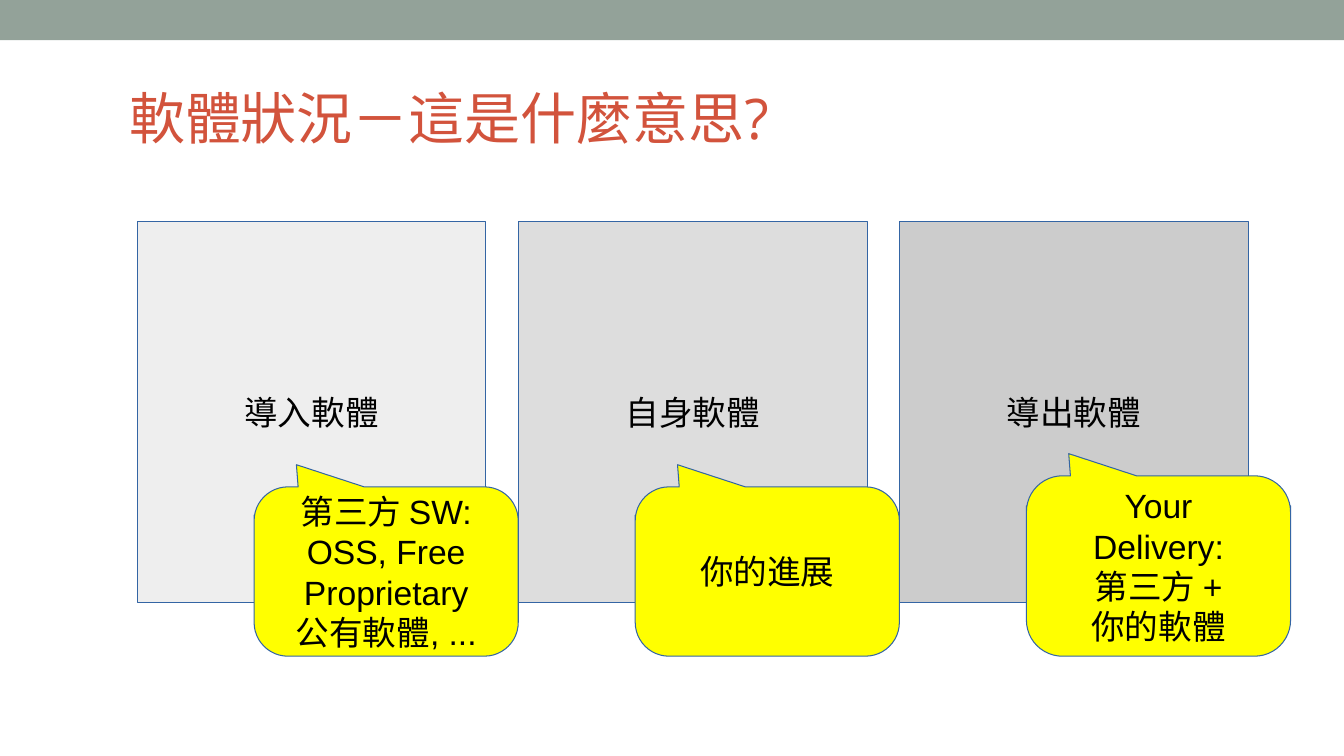
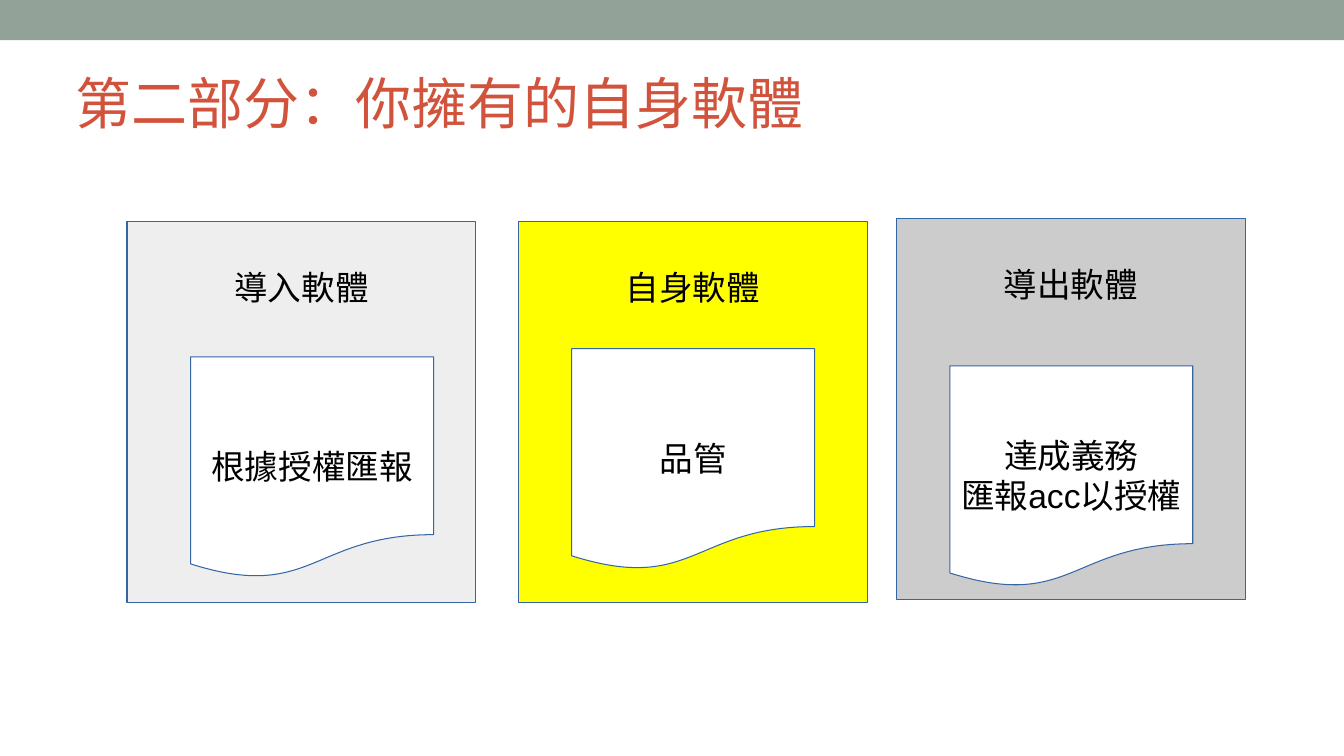
from pptx import Presentation
from pptx.dml.color import RGBColor
from pptx.enum.shapes import MSO_SHAPE as Kind
from pptx.enum.text import MSO_ANCHOR as Anchor, MSO_AUTO_SIZE as Auto, PP_ALIGN as Align
from pptx.util import Inches, Pt

BAND, RED, BLUE = "93A299", "D2533C", "3465A4"
BLACK, WHITE, YELLOW = "000000", "FFFFFF", "FFFF00"
LIGHT, MID, DARK = "EEEEEE", "DDDDDD", "CCCCCC"
WIDE, HIGH = 13.33, 7.5
SIDE, TALL = 3.46, 3.78


def tint(part, hue):
    """Set a fill or font colour from a hex string."""
    part.rgb = RGBColor.from_string(hue)


def write(para, text, face, size, hue):
    """Add text run by run, with a line break at each newline."""
    for i, line in enumerate(text.split("\n")):
        if i:
            para.add_line_break()
        run = para.add_run()
        run.text = line
        run.font.name, run.font.size = face, Pt(size)
        tint(run.font.color, hue)


def shape(slide, kind, box, fill, line=BLUE):
    """Draw a flat preset shape in a box."""
    item = slide.shapes.add_shape(kind, *map(Inches, box))
    item.shadow.inherit = False
    item.fill.solid()
    tint(item.fill.fore_color, fill)
    if line:
        tint(item.line.color, line)
        item.line.width = Pt(0.75)
    else:
        item.line.fill.background()
    return item


def label(item, paras, anchor=Anchor.MIDDLE, inset=0.05):
    """Write centred black paragraphs in a shape."""
    frame = item.text_frame
    frame.word_wrap = True
    frame.vertical_anchor = anchor
    frame.margin_top = Inches(inset)
    for i, text in enumerate(paras):
        para = frame.add_paragraph() if i else frame.paragraphs[0]
        para.alignment = Align.CENTER
        write(para, text, "Arial", 24, BLACK)


def panel(slide, left, top, text, fill, **style):
    """Draw one large software panel."""
    item = shape(slide, Kind.RECTANGLE, (left, top, SIDE, TALL), fill)
    label(item, [text], **style)


def bubble(slide, left, top, high, paras):
    """Draw a yellow callout whose tip points up and left."""
    wide = 2.62
    item = shape(slide, Kind.ROUNDED_RECTANGULAR_CALLOUT, (left, top, wide, high), YELLOW)
    item.adjustments[0] = 0.42 / wide - 0.5
    item.adjustments[1] = -0.22 / high - 0.5
    item.adjustments[2] = 0.2
    label(item, paras)


def sheet(slide, left, top, text):
    """Draw a white document with its text set low."""
    item = shape(slide, Kind.FLOWCHART_DOCUMENT, (left, top, 2.41, 2.2), WHITE)
    label(item, [text], inset=0.45)


def head(slide, box, text):
    """Place and fill the title placeholder."""
    title = slide.shapes.title
    title.left, title.top, title.width, title.height = map(Inches, box)
    frame = title.text_frame
    frame.auto_size, frame.word_wrap = Auto.NONE, True
    frame.vertical_anchor = Anchor.BOTTOM
    frame.margin_left = frame.margin_top = frame.margin_right = frame.margin_bottom = 0
    para = frame.paragraphs[0]
    para.alignment = Align.LEFT
    write(para, text, "Open Sans", 40, RED)


def state(slide):
    """Build the slide on what the software states mean."""
    head(slide, (1.28, 0.5, 11.95, 1), "軟體狀況－這是什麼意思?")
    names = [("導入軟體", LIGHT), ("自身軟體", MID), ("導出軟體", DARK)]
    for i, (name, fill) in enumerate(names):
        panel(slide, 1.36 + i * 3.78, 2.2, name, fill)
    notes = [
        (2.52, 4.83, ["第三方 SW:\nOSS, Free", "Proprietary\n公有軟體, ..."]),
        (6.3, 4.83, ["你的進展"]),
        (10.18, 4.72, ["Your\nDelivery:", "第三方 +\n你的軟體"]),
    ]
    for left, top, paras in notes:
        bubble(slide, left, top, 6.51 - top, paras)


def own(slide):
    """Build the slide on your own software."""
    head(slide, (0.75, 0.2, 12, 1.15), "第二部分：你擁有的自身軟體")
    parts = [
        (1.26, 2.2, "導入軟體", LIGHT, 0.63, 1.34, "根據授權匯報"),
        (5.14, 2.2, "自身軟體", YELLOW, 0.53, 1.26, "品管"),
        (8.89, 2.17, "導出軟體", DARK, 0.53, 1.46, "達成義務\n匯報acc以授權"),
    ]
    for left, top, name, fill, dx, dy, text in parts:
        panel(slide, left, top, name, fill, anchor=Anchor.TOP, inset=0.45)
        sheet(slide, left + dx, top + dy, text)


def main():
    """Build and save the deck."""
    deck = Presentation()
    deck.slide_width, deck.slide_height = Inches(WIDE), Inches(HIGH)
    base = deck.slide_layouts[5]
    first, second = [deck.slides.add_slide(base) for _ in range(2)]
    band = shape(first, Kind.RECTANGLE, (0, 0, WIDE, 0.4), BAND, None)
    base.shapes.element.insert(2, band.element)
    state(first)
    own(second)
    deck.save("out.pptx")


if __name__ == "__main__":
    main()
